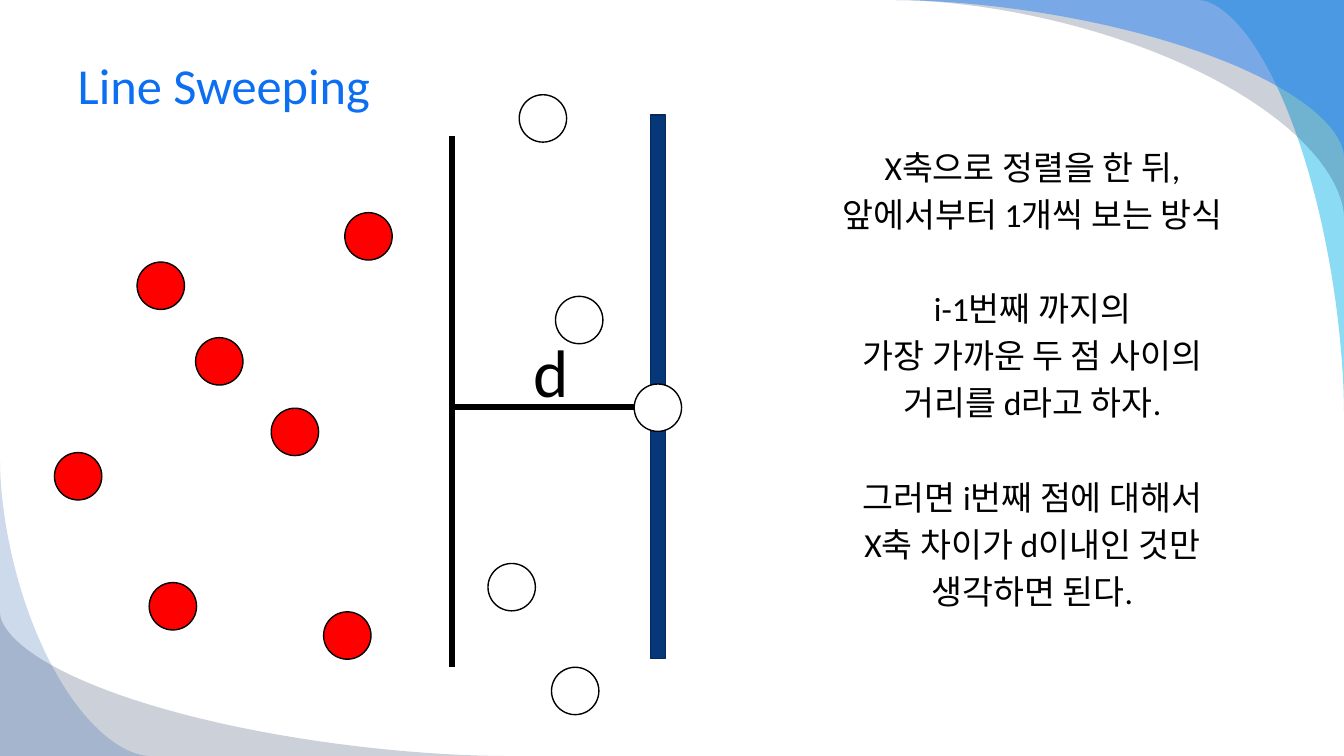
from math import cos, pi, sin

from lxml.etree import SubElement
from pptx import Presentation
from pptx.dml.color import RGBColor
from pptx.enum.shapes import MSO_CONNECTOR, MSO_SHAPE
from pptx.enum.text import MSO_ANCHOR, MSO_AUTO_SIZE, PP_ALIGN
from pptx.oxml.ns import qn
from pptx.util import Inches, Pt

COLORS = {
    "cyan": "00B1E9", "navy": "021741", "sky": "247FF4", "royal": "084AA1",
    "title": "0C6FF2", "sweep": "063879", "sweep edge": "04295A",
    "settled": "FF0000", "candidate": "FFFFFF", "ink": "000000",
}
WIDTH, HEIGHT = 13.33, 7.5
DOT = 0.47
LINE_GAP, BLOCK_GAP = 4.8, 38.4


def paint(shape, fill, edge=None):
    shape.shadow.inherit = False
    shape.fill.solid()
    shape.fill.fore_color.rgb = RGBColor.from_string(COLORS[fill])
    if edge:
        shape.line.color.rgb = RGBColor.from_string(COLORS[edge])
        shape.line.width = Pt(1)
    else:
        shape.line.fill.background()


def write(paragraph, text, size, color, align, gap=0):
    paragraph.text = text
    paragraph.alignment = align
    paragraph.space_before = Pt(gap)
    font = paragraph.runs[0].font
    for attribute, value in {"name": "Calibri", "size": Pt(size)}.items():
        setattr(font, attribute, value)
    font.color.rgb = RGBColor.from_string(COLORS[color])


deck = Presentation()
deck.slide_width, deck.slide_height = Inches(WIDTH), Inches(HEIGHT)
slide = deck.slides.add_slide(deck.slide_layouts[5])
shapes = slide.shapes

# Corner waves: corner, signed reach along x and y, colour, opacity in percent
waves = [
    (WIDTH, 0, -1.44, 4.08, "cyan", 45),
    (WIDTH, 0, -4.44, 2.15, "navy", 20),
    (WIDTH, 0, -4.44, 1.55, "sky", 49),
    (0, HEIGHT, 5, -1.42, "navy", 20),
    (0, HEIGHT, 1.48, -2.92, "royal", 20),
]
STEPS, BULGE = 40, 1.75
for corner_x, corner_y, reach_x, reach_y, color, opacity in waves:
    angles = [pi / 2 * step / STEPS for step in range(STEPS + 1)]
    curve = [
        (corner_x + reach_x * (1 - abs(sin(a)) ** (2 / BULGE)),
         corner_y + reach_y * (1 - abs(cos(a)) ** (2 / BULGE)))
        for a in angles
    ]
    outline = shapes.build_freeform(Inches(corner_x), Inches(corner_y))
    outline.add_line_segments([(Inches(x), Inches(y)) for x, y in curve])
    wave = outline.convert_to_shape()
    paint(wave, color)
    tint = wave.element.spPr.find(qn("a:solidFill"))[0]
    SubElement(tint, qn("a:alpha"), val=str(opacity * 1000))

title = shapes.title
title.element.getparent().append(title.element)
title_format = {
    "left": Inches(0.67), "top": Inches(0.33),
    "width": Inches(12), "height": Inches(1.01),
}
for attribute, value in title_format.items():
    setattr(title, attribute, value)
title.text_frame.auto_size = MSO_AUTO_SIZE.NONE
title.text_frame.vertical_anchor = MSO_ANCHOR.MIDDLE
write(title.text_frame.paragraphs[0], "Line Sweeping", 36, "title", PP_ALIGN.LEFT)

# Explanation
blocks = [
    ["X축으로 정렬을 한 뒤,", "앞에서부터 1개씩 보는 방식"],
    ["i-1번째 까지의", "가장 가까운 두 점 사이의", "거리를 d라고 하자."],
    ["그러면 i번째 점에 대해서", "X축 차이가 d이내인 것만", "생각하면 된다."],
]
explanation = shapes.add_textbox(
    Inches(7.9), Inches(0.94), Inches(4.68), Inches(6.25)).text_frame
explanation.word_wrap = True
explanation.margin_top = Inches(0.52)
for block_index, block in enumerate(blocks):
    for line_index, sentence in enumerate(block):
        first = block_index == line_index == 0
        paragraph = explanation.paragraphs[0] if first else explanation.add_paragraph()
        gap = BLOCK_GAP if block_index and not line_index else LINE_GAP
        write(paragraph, sentence, 24, "ink", PP_ALIGN.CENTER, gap)

# Sweep line, its left boundary and the distance d between them
sweep_line = shapes.add_shape(
    MSO_SHAPE.RECTANGLE, Inches(6.45), Inches(1.14), Inches(0.15), Inches(5.39))
paint(sweep_line, "sweep", "sweep edge")

for x1, y1, x2, y2 in [(4.48, 4.04, 6.33, 4.04), (4.48, 6.62, 4.48, 1.35)]:
    span = shapes.add_connector(
        MSO_CONNECTOR.STRAIGHT, Inches(x1), Inches(y1), Inches(x2), Inches(y2))
    span.line.color.rgb = RGBColor.from_string(COLORS["ink"])
    span.line.width = Pt(4.5)
    SubElement(span.element.spPr, qn("a:effectLst"))

distance = shapes.add_textbox(
    Inches(5.08), Inches(3.23), Inches(0.78), Inches(0.94)).text_frame
distance.word_wrap = True
write(distance.paragraphs[0], "d", 48, "ink", PP_ALIGN.CENTER)

# Points, by left and top
points = {
    "candidate": [(4.84, 5.59), (5.51, 2.94), (6.29, 3.81), (5.15, 0.94), (5.47, 6.62)],
    "settled": [(3.42, 2.11), (1.48, 5.78), (1.36, 2.6), (2.69, 4.05),
                (0.54, 4.49), (3.21, 6.07), (1.94, 3.35)],
}
for state, corners in points.items():
    for left, top in corners:
        point = shapes.add_shape(
            MSO_SHAPE.OVAL, Inches(left), Inches(top), Inches(DOT), Inches(DOT))
        paint(point, state, "ink")

deck.save("out.pptx")
